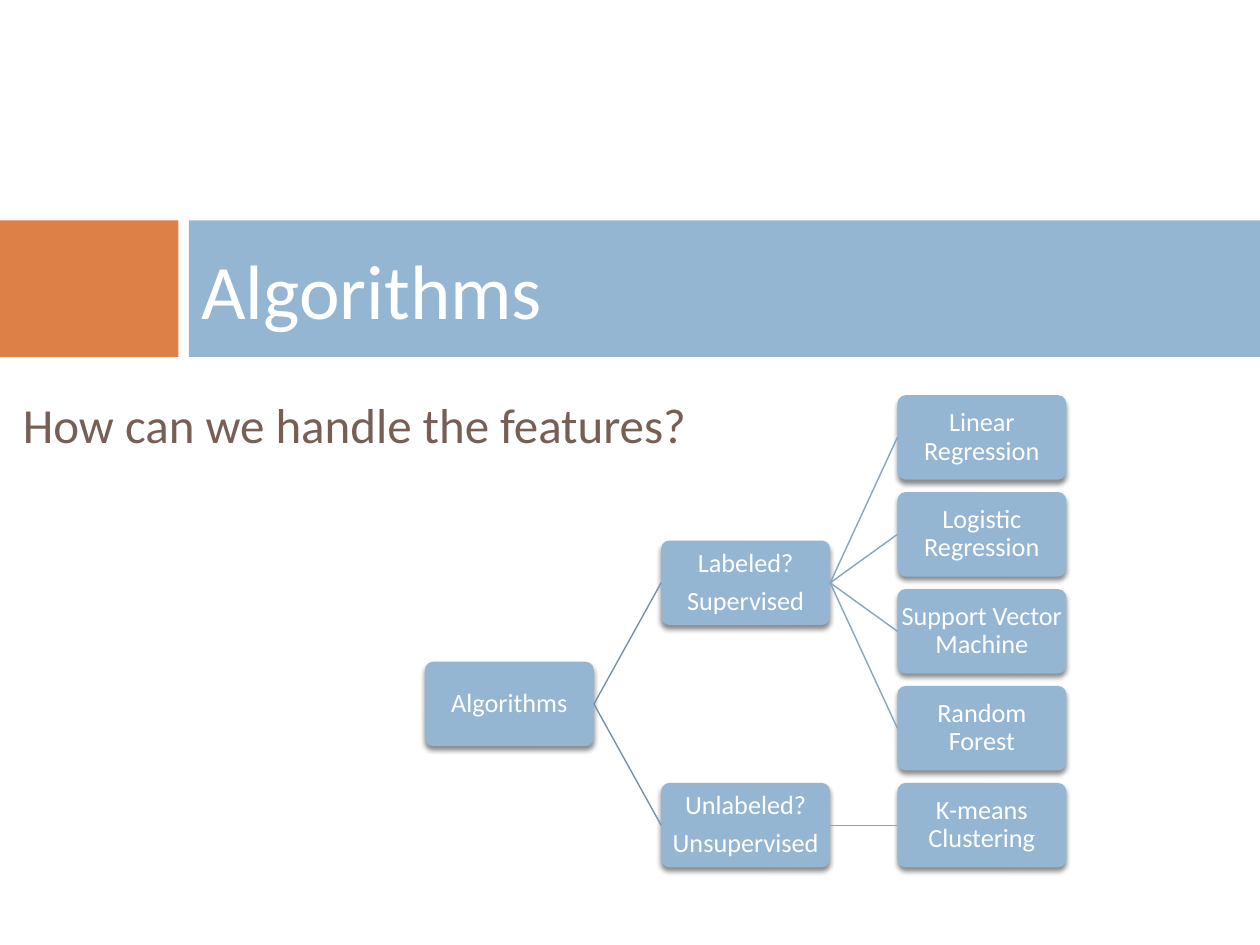
from dataclasses import dataclass

import pptx
import pptx.dml.color
import pptx.enum.shapes
import pptx.enum.text
import pptx.oxml
import pptx.oxml.ns
import pptx.util
from pptx.enum.shapes import MSO_SHAPE
from pptx.enum.text import MSO_ANCHOR, PP_ALIGN

Pt = pptx.util.Pt

FONT = "Calibri"
BLUE, ORANGE, BROWN, WHITE = "94B6D2", "DD8047", "775F55", "FFFFFF"
BRANCH_LINE, LEAF_LINE = "7792A8", "86A5BF"

TREE_LEFT, TREE_TOP = 242.8, 225.8
COLUMN_PITCH, ROW_PITCH = 135, 55.4
BOX_WIDTH, BOX_HEIGHT = 96.6, 48.3
BAND_TOP, BAND_HEIGHT = 126, 78
RIGHT_SIDE, LEFT_SIDE = 3, 1

SHADOW = (
    '<a:outerShdw xmlns:a="http://schemas.openxmlformats.org/drawingml/2006/main" '
    'blurRad="38100" dist="30480" dir="5400000" rotWithShape="0">'
    '<a:srgbClr val="000000"><a:alpha val="45000"/></a:srgbClr></a:outerShdw>'
)


@dataclass(frozen=True)
class Node:
    text: str
    row: float
    children: tuple["Node", ...] = ()


TREE = Node("Algorithms", 2.5, (
    Node("Labeled?\nSupervised", 1.5, (
        Node("Linear Regression", 0),
        Node("Logistic Regression", 1),
        Node("Support Vector Machine", 2),
        Node("Random Forest", 3),
    )),
    Node("Unlabeled?\nUnsupervised", 4, (Node("K-means Clustering", 4),)),
))
ROOT_ROW = sum(child.row for child in TREE.children) / len(TREE.children)


def color(hex_value: str) -> pptx.dml.color.RGBColor:
    return pptx.dml.color.RGBColor.from_string(hex_value)


def format_text(text_frame, size: float, hex_value: str) -> None:
    for paragraph in text_frame.paragraphs:
        for run in paragraph.runs:
            run.font.name = FONT
            run.font.size = Pt(size)
            run.font.color.rgb = color(hex_value)


def add_box(slide, kind, left: float, top: float, width: float, height: float, fill: str):
    shape = slide.shapes.add_shape(kind, Pt(left), Pt(top), Pt(width), Pt(height))
    shape.fill.solid()
    shape.fill.fore_color.rgb = color(fill)
    shape.line.fill.background()
    shape.shadow.inherit = False
    return shape


def add_text(slide, text: str, left: float, top: float, width: float, height: float,
             size: float, hex_value: str, anchor):
    shape = slide.shapes.add_textbox(Pt(left), Pt(top), Pt(width), Pt(height))
    text_frame = shape.text_frame
    text_frame.word_wrap = True
    text_frame.vertical_anchor = anchor
    text_frame.text = text
    format_text(text_frame, size, hex_value)
    return shape


def add_node(slide, node: Node, column: int, row: float):
    shape = add_box(slide, MSO_SHAPE.ROUNDED_RECTANGLE,
                    TREE_LEFT + column * COLUMN_PITCH, TREE_TOP + row * ROW_PITCH,
                    BOX_WIDTH, BOX_HEIGHT, BLUE)
    shape.adjustments[0] = 0.1
    effects = shape._element.spPr.find(pptx.oxml.ns.qn("a:effectLst"))
    effects.append(pptx.oxml.parse_xml(SHADOW))
    text_frame = shape.text_frame
    text_frame.word_wrap = True
    text_frame.vertical_anchor = MSO_ANCHOR.MIDDLE
    text_frame.margin_left = text_frame.margin_right = Pt(0.95)
    text_frame.margin_top = text_frame.margin_bottom = Pt(0.95)
    text_frame.text = node.text
    for paragraph in text_frame.paragraphs:
        paragraph.alignment = PP_ALIGN.CENTER
        paragraph.line_spacing = 0.9
        paragraph.space_after = Pt(5.25)
    format_text(text_frame, 15, WHITE)
    return shape


def add_link(slide, parent, child, hex_value: str) -> None:
    connector = slide.shapes.add_connector(
        pptx.enum.shapes.MSO_CONNECTOR.STRAIGHT, Pt(0), Pt(0), Pt(0), Pt(0))
    connector.begin_connect(parent, RIGHT_SIDE)
    connector.end_connect(child, LEFT_SIDE)
    connector.line.color.rgb = color(hex_value)
    connector.line.width = Pt(0.8)
    properties = connector._element.spPr
    properties.append(properties.makeelement(pptx.oxml.ns.qn("a:effectLst"), {}))


def add_tree(slide, node: Node, row: float, column: int = 0):
    """Draw a node with everything below it and return the node's box."""
    shape = add_node(slide, node, column, row)
    for child in node.children:
        child_shape = add_tree(slide, child, child.row, column + 1)
        add_link(slide, shape, child_shape, LEAF_LINE if column else BRANCH_LINE)
    return shape


def main() -> None:
    presentation = pptx.Presentation()
    presentation.slide_width, presentation.slide_height = Pt(720), Pt(540)
    slide = presentation.slides.add_slide(presentation.slide_layouts[6])

    add_box(slide, MSO_SHAPE.RECTANGLE, 0, BAND_TOP, 102, BAND_HEIGHT, ORANGE)
    add_box(slide, MSO_SHAPE.RECTANGLE, 108, BAND_TOP, 612, BAND_HEIGHT, BLUE)
    add_text(slide, "How can we handle the features?", 6, 222, 561, 132,
             28, BROWN, MSO_ANCHOR.TOP).text_frame.paragraphs[0].space_before = Pt(7)
    add_text(slide, "Algorithms", 108, BAND_TOP, 600, BAND_HEIGHT,
             44, WHITE, MSO_ANCHOR.MIDDLE)
    add_tree(slide, TREE, ROOT_ROW)

    presentation.save("out.pptx")


if __name__ == "__main__":
    main()
